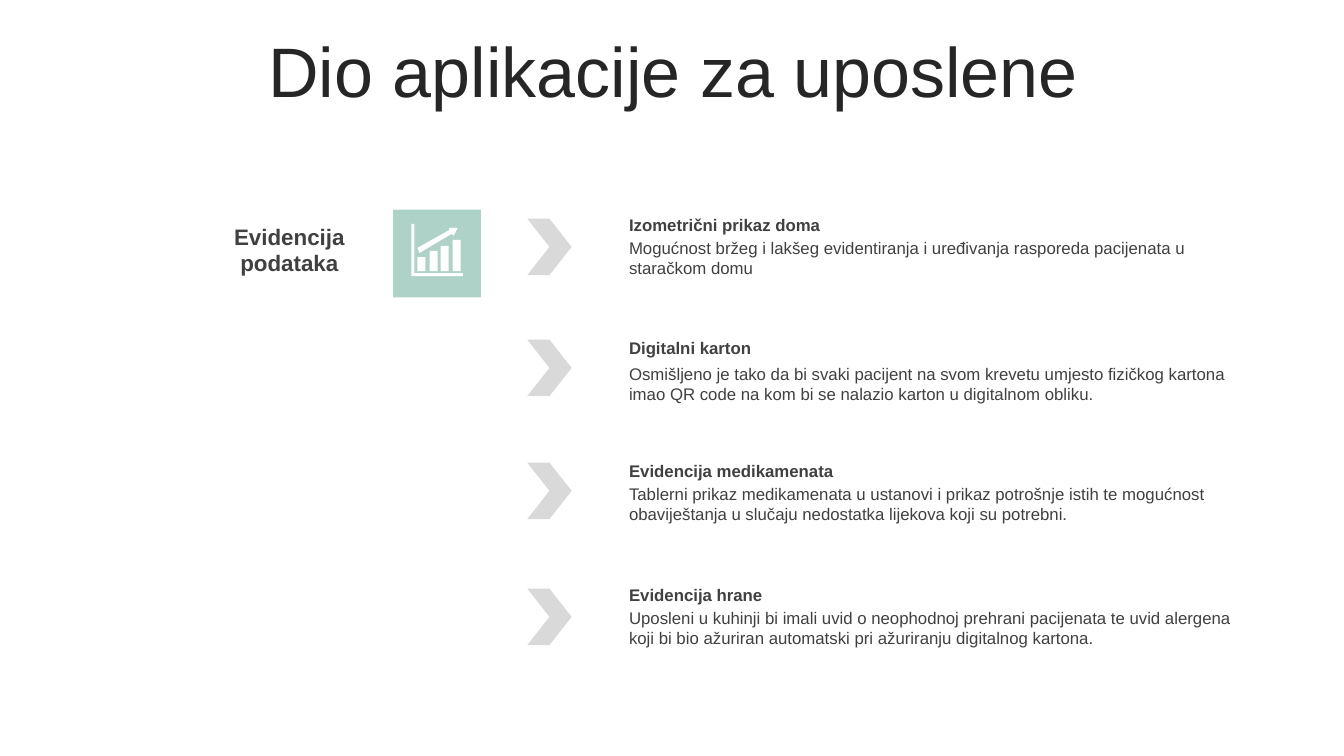
from pptx import Presentation
from pptx.dml.color import RGBColor
from pptx.enum.shapes import MSO_SHAPE
from pptx.enum.text import MSO_ANCHOR, PP_ALIGN
from pptx.util import Pt

PX = 9144  # 100 px to the inch
CHEVRON, RECTANGLE = MSO_SHAPE.CHEVRON, MSO_SHAPE.RECTANGLE
LEFT, CENTER = PP_ALIGN.LEFT, PP_ALIGN.CENTER
TOP, MIDDLE = MSO_ANCHOR.TOP, MSO_ANCHOR.MIDDLE

TITLE_INK = RGBColor(0x26, 0x26, 0x26)
TEXT_INK = RGBColor(0x40, 0x40, 0x40)
GREY = RGBColor(0xD9, 0xD9, 0xD9)
MINT = RGBColor(0xAF, 0xD2, 0xC8)
WHITE = RGBColor(0xFF, 0xFF, 0xFF)

prs = Presentation()
prs.slide_width, prs.slide_height = 1333 * PX, 750 * PX
slide = prs.slides.add_slide(prs.slide_layouts[6])


def add_text(text, left, top, width, height, size, color=TEXT_INK,
             bold=False, align=LEFT, anchor=TOP):
    box = slide.shapes.add_textbox(left * PX, top * PX, width * PX, height * PX)
    box.text_frame.word_wrap = True
    box.text_frame.vertical_anchor = anchor
    paragraph = box.text_frame.paragraphs[0]
    paragraph.alignment = align
    run = paragraph.add_run()
    run.text = text
    run.font.name, run.font.size, run.font.bold = "Arial", Pt(size), bold
    run.font.color.rgb = color
    return paragraph


def paint(shape, color):
    shape.shadow.inherit = False
    shape.fill.solid()
    shape.fill.fore_color.rgb = color
    shape.line.fill.background()


# Title and section label
title = add_text("Dio aplikacije za uposlene", 35, 37, 1266, 79, 50,
                 TITLE_INK, align=CENTER, anchor=MIDDLE)
title.line_spacing = 0.8
title.space_before = Pt(10)
add_text("Evidencija podataka", 209, 216, 156, 64, 16, bold=True, align=CENTER)

# Features: chevron top, heading top, description top, heading, description
features = [
    (217, 208, 231, "Izometrični prikaz doma",
     "Mogućnost bržeg i lakšeg evidentiranja i uređivanja rasporeda "
     "pacijenata u staračkom domu"),
    (337, 330, 356, "Digitalni karton",
     "Osmišljeno je tako da bi svaki pacijent na svom krevetu umjesto fizičkog "
     "kartona imao QR code na kom bi se nalazio karton u digitalnom obliku."),
    (459, 452, 475, "Evidencija medikamenata",
     "Tablerni prikaz medikamenata u ustanovi i prikaz potrošnje istih te "
     "mogućnost obaviještanja u slučaju nedostatka lijekova koji su potrebni."),
    (584, 575, 598, "Evidencija hrane",
     "Uposleni u kuhinji bi imali uvid o neophodnoj prehrani pacijenata te uvid "
     "alergena koji bi bio ažuriran automatski pri ažuriranju digitalnog kartona."),
]
for chevron_top, heading_top, description_top, heading, description in features:
    chevron = slide.shapes.add_shape(CHEVRON, 523 * PX, chevron_top * PX,
                                     44 * PX, 56 * PX)
    paint(chevron, GREY)
    add_text(description, 614, description_top, 625, 50, 12)
    add_text(heading, 614, heading_top, 625, 30, 12, bold=True)

# Icon tile
tile = slide.shapes.add_shape(RECTANGLE, 390 * PX, 208 * PX, 87 * PX, 87 * PX)
paint(tile, MINT)

# Growth icon: axes, rising arrow and four bars in one outline
axes = [(408, 222), (411, 222), (411, 271), (459, 271), (459, 274), (408, 274)]
arrow = [(445, 226), (454, 226), (450, 234), (448, 232), (416, 251),
         (414, 246), (446, 228)]
bars = [[(x, top), (x + 8, top), (x + 8, 269), (x, 269)]
        for x, top in [(414, 255), (426, 249), (437, 244), (449, 238)]]
icon = slide.shapes.build_freeform(*axes[0], scale=PX)
icon.add_line_segments(axes[1:], close=True)
for outline in [arrow, *bars]:
    icon.move_to(*outline[0])
    icon.add_line_segments(outline[1:], close=True)
paint(icon.convert_to_shape(), WHITE)

prs.save("out.pptx")
